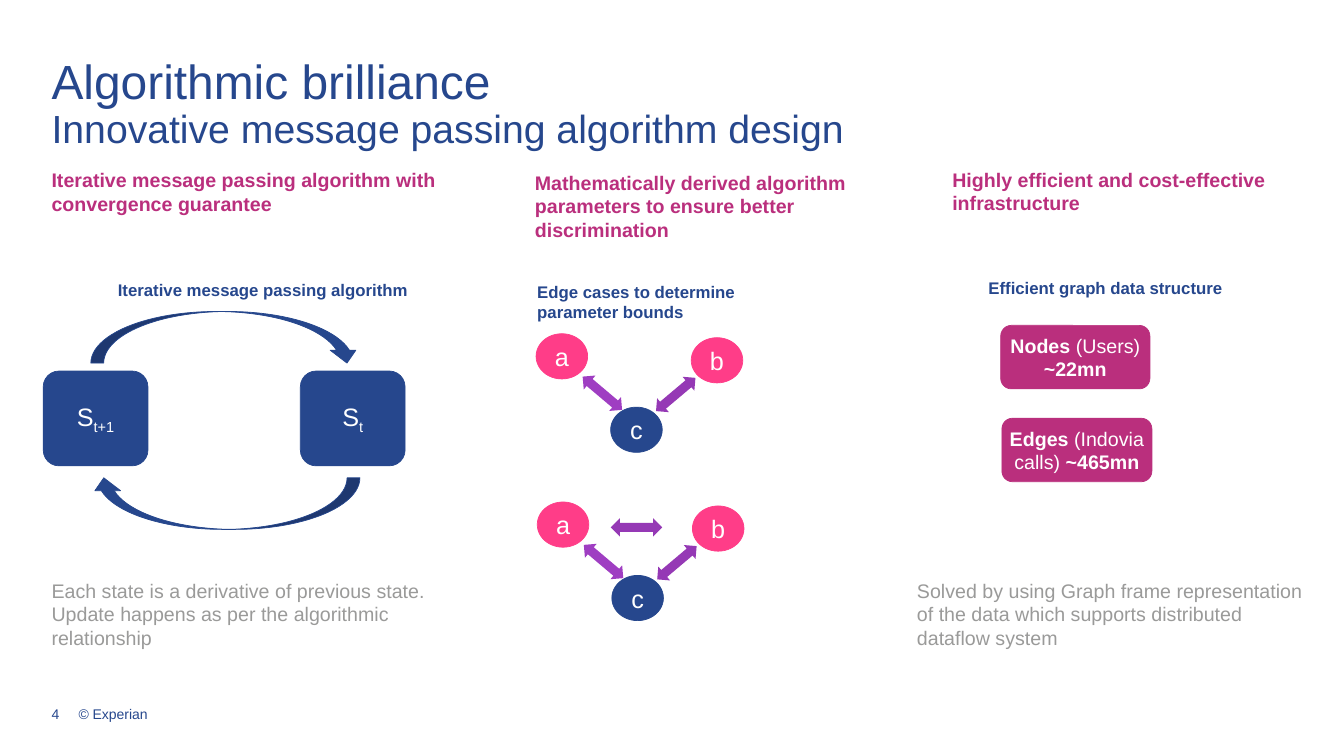
from lxml import etree
from pptx import Presentation
from pptx.dml.color import RGBColor
from pptx.enum.shapes import MSO_SHAPE
from pptx.enum.text import MSO_ANCHOR, MSO_AUTO_SIZE, PP_ALIGN
from pptx.oxml.ns import qn
from pptx.util import Cm, Pt

ROUND_BOX = MSO_SHAPE.ROUNDED_RECTANGLE
CIRCLE = MSO_SHAPE.OVAL
CURVED_ARROW = MSO_SHAPE.CURVED_DOWN_ARROW
DOUBLE_ARROW = MSO_SHAPE.LEFT_RIGHT_ARROW
TOP, MIDDLE = MSO_ANCHOR.TOP, MSO_ANCHOR.MIDDLE
LEFT, CENTER = PP_ALIGN.LEFT, PP_ALIGN.CENTER
NO_FIT = MSO_AUTO_SIZE.NONE

NAVY, MAGENTA, PINK, GREY, WHITE = "26478D", "BA2F7D", "FF3D88", "9A9A99", "FFFFFF"
VIOLET, DARK_VIOLET = "9F3EC2", "9539B5"

NO_INSETS = (0, 0, 0, 0)
SIDE_INSETS = (0.25, 0.13, 0.25, 0.13)
LABEL_INSETS = (0, 0.13, 0, 0.13)

HEADING = {"size": Pt(14), "color": MAGENTA, "bold": True}
CAPTION = {"size": Pt(12), "color": NAVY, "bold": True}
NOTE = {"size": Pt(14), "color": GREY}
FOOTER = {"size": Pt(10), "color": NAVY}
SYMBOL = {"size": Pt(18), "color": WHITE}
FIGURE = {"size": Pt(14), "color": WHITE, "bold": True}
FIGURE_DETAIL = {"size": Pt(14), "color": WHITE, "bold": False}

TITLE_BOX = (1.3, 1.47, 31.27, 2.79)
TITLE_LINES = [("Algorithmic brilliance", 34.2),
               ("Innovative message passing algorithm design", 28)]

FOOTER_BOX = (1.3, 17.78, 5.28, 0.61)
FOOTER_TEXT = "4\t© Experian"
FOOTER_TAB = 0.68

TEXTS = [
    ((1.3, 4.24, 11.13, 1.19), NO_INSETS, True, HEADING,
     ["Iterative message passing algorithm with convergence guarantee"]),
    ((13.23, 4.17, 9.35, 2.06), SIDE_INSETS, True, HEADING,
     ["Mathematically derived algorithm parameters to ensure better discrimination"]),
    ((23.75, 4.09, 9.83, 1.45), SIDE_INSETS, True, HEADING,
     ["Highly efficient and cost-effective infrastructure"]),
    ((2.97, 7.06, 7.39, 0.51), NO_INSETS, False, CAPTION,
     ["Iterative message passing algorithm"]),
    ((13.54, 7.09, 5.99, 1.02), NO_INSETS, True, CAPTION,
     ["Edge cases to determine", "parameter bounds"]),
    ((24.66, 6.88, 6.48, 0.76), SIDE_INSETS, False, CAPTION,
     ["Efficient graph data structure"]),
    ((1.3, 14.58, 9.91, 1.8), NO_INSETS, True, NOTE,
     ["Each state is a derivative of previous state. "
      "Update happens as per the algorithmic relationship"]),
    ((23.11, 14.58, 9.98, 1.8), NO_INSETS, True, NOTE,
     ["Solved by using Graph frame representation of the data "
      "which supports distributed dataflow system"]),
]

STATES = [(1.09, "t+1"), (7.57, "t")]
STATE_TOP, STATE_SIZE = 9.35, (2.64, 2.39)
CYCLE = [(7.85, 0), (12.04, 180)]
CYCLE_LEFT, CYCLE_SIZE = 2.29, (6.78, 1.3)

NODE_SIZE, EDGE_SIZE = (1.3, 1.14), (1.3, 0.46)
NODES = [("a", 0, 0, PINK), ("b", 3.91, 0.1, PINK), ("c", 1.88, 1.85, NAVY)]
OPEN_EDGES = [(1.02, 1.27, 40.1, VIOLET), (2.87, 1.3, 319.9, DARK_VIOLET)]
CLOSING_EDGE = (1.85, 0.41, 0, DARK_VIOLET)
EDGE_CASES = [(13.51, 8.41, OPEN_EDGES),
              (13.54, 12.65, OPEN_EDGES + [CLOSING_EDGE])]

GRAPH_FIGURES = [
    ((25.22, 8.2, 3.76, 1.6), "Nodes", " (Users) ", "~22mn"),
    ((25.25, 10.54, 3.78, 1.6), "Edges", " (Indovia calls) ", "~465mn"),
]


def rgb(value):
    return RGBColor.from_string(value)


def add_run(paragraph, text, style):
    run = paragraph.add_run()
    run.text = text
    run.font.name = "Arial"
    for name, value in style.items():
        if name == "color":
            run.font.color.rgb = rgb(value)
        else:
            setattr(run.font, name, value)
    return run


def set_frame(frame, insets, wrap=True, anchor=TOP):
    left, top, right, bottom = (Cm(inset) for inset in insets)
    settings = {"margin_left": left, "margin_top": top, "margin_right": right,
                "margin_bottom": bottom, "auto_size": NO_FIT,
                "word_wrap": wrap, "vertical_anchor": anchor}
    for name, value in settings.items():
        setattr(frame, name, value)


def add_text(slide, box, insets, wrap, style, lines):
    frame = slide.shapes.add_textbox(*(Cm(n) for n in box)).text_frame
    set_frame(frame, insets, wrap)
    for index, line in enumerate(lines):
        paragraph = frame.paragraphs[0] if index == 0 else frame.add_paragraph()
        add_run(paragraph, line, style)
    return frame


def add_figure(slide, kind, box, fill, outlined=True, rotation=0):
    figure = slide.shapes.add_shape(kind, *(Cm(n) for n in box))
    figure.shadow.inherit = False
    figure.rotation = rotation
    figure.fill.solid()
    figure.fill.fore_color.rgb = rgb(fill)
    if outlined:
        figure.line.color.rgb = rgb(fill)
        figure.line.width = Pt(0.5)
    else:
        figure.line.fill.background()
    return figure


def label(figure, runs, insets=SIDE_INSETS):
    set_frame(figure.text_frame, insets, anchor=MIDDLE)
    paragraph = figure.text_frame.paragraphs[0]
    paragraph.alignment = CENTER
    return [add_run(paragraph, text, style) for text, style in runs]


def add_title(slide):
    title = slide.shapes.title
    title.left, title.top, title.width, title.height = (Cm(n) for n in TITLE_BOX)
    set_frame(title.text_frame, NO_INSETS)
    paragraph = title.text_frame.paragraphs[0]
    paragraph.alignment = LEFT
    paragraph.line_spacing = 0.9
    for index, (line, size) in enumerate(TITLE_LINES):
        if index:
            paragraph.add_line_break()
        add_run(paragraph, line, {"size": Pt(size), "color": NAVY})


def add_footer(slide):
    frame = add_text(slide, FOOTER_BOX, NO_INSETS, True, FOOTER, [FOOTER_TEXT])
    properties = frame.paragraphs[0]._p.get_or_add_pPr()
    tabs = etree.SubElement(properties, qn("a:tabLst"))
    etree.SubElement(tabs, qn("a:tab"), pos=str(Cm(FOOTER_TAB)), algn="l")


def add_state_cycle(slide):
    for left, index in STATES:
        state = add_figure(slide, ROUND_BOX, (left, STATE_TOP, *STATE_SIZE), NAVY)
        subscript = label(state, [("S", SYMBOL), (index, SYMBOL)])[1]
        subscript._r.get_or_add_rPr().set("baseline", "-25000")
    for top, rotation in CYCLE:
        add_figure(slide, CURVED_ARROW, (CYCLE_LEFT, top, *CYCLE_SIZE), NAVY,
                   rotation=rotation)


def add_edge_case(slide, left, top, edges):
    for name, x, y, fill in NODES:
        node = add_figure(slide, CIRCLE, (left + x, top + y, *NODE_SIZE), fill)
        label(node, [(name, SYMBOL)])
    for x, y, rotation, fill in edges:
        add_figure(slide, DOUBLE_ARROW, (left + x, top + y, *EDGE_SIZE), fill,
                   outlined=False, rotation=rotation)


def main():
    deck = Presentation()
    deck.slide_width, deck.slide_height = Cm(33.87), Cm(19.05)
    slide = deck.slides.add_slide(deck.slide_layouts[5])
    add_title(slide)
    add_footer(slide)
    for text in TEXTS:
        add_text(slide, *text)
    add_state_cycle(slide)
    for case in EDGE_CASES:
        add_edge_case(slide, *case)
    for box, name, detail, count in GRAPH_FIGURES:
        figure = add_figure(slide, ROUND_BOX, box, MAGENTA)
        label(figure, [(name, FIGURE), (detail, FIGURE_DETAIL), (count, FIGURE)],
              LABEL_INSETS)
    deck.save("out.pptx")


if __name__ == "__main__":
    main()
